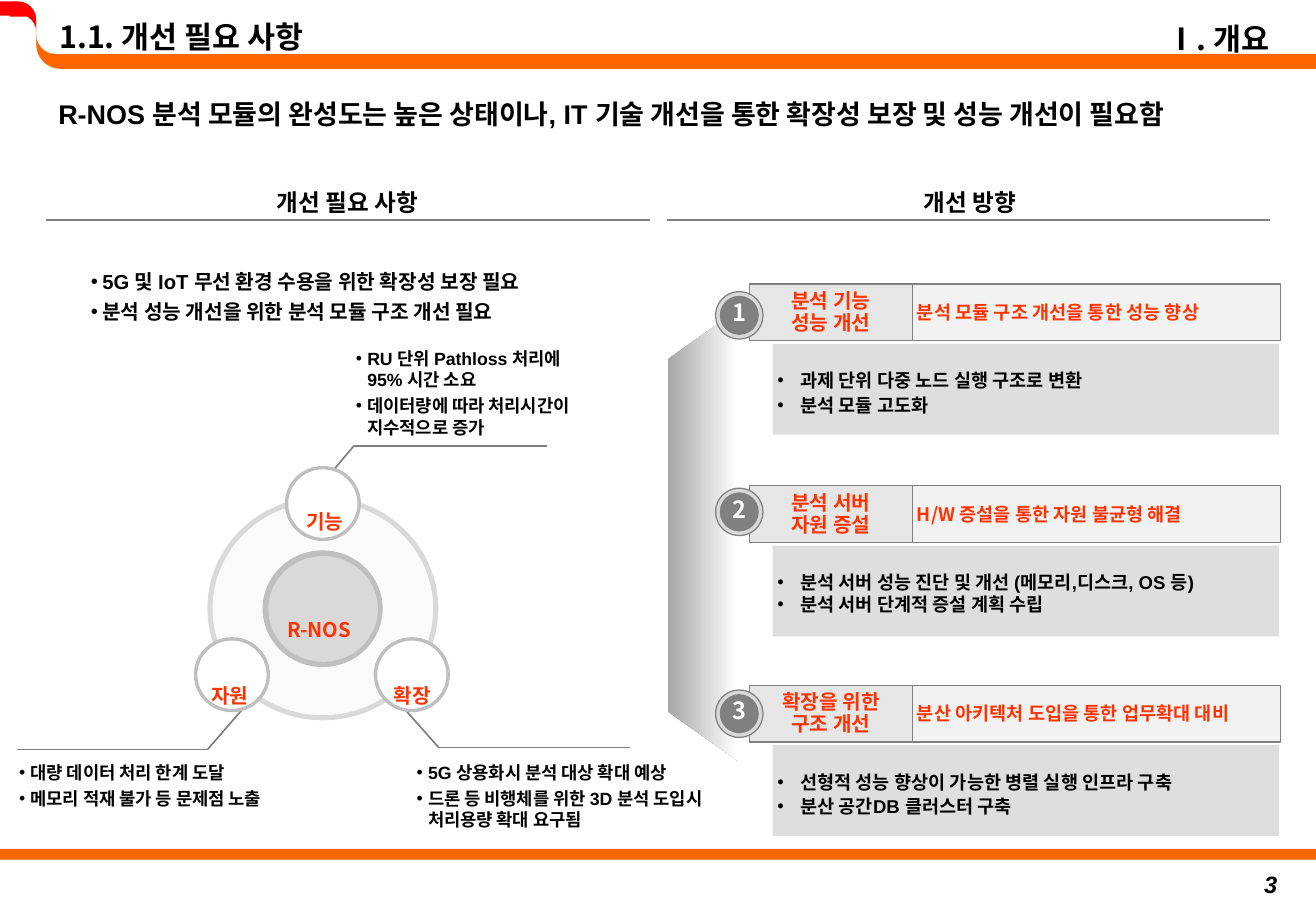
from lxml import etree
from pptx import Presentation
from pptx.dml.color import RGBColor
from pptx.enum import shapes, text
from pptx.oxml import ns
from pptx.util import Cm, Pt

KOREAN = "Noto Sans CJK KR"
LATIN = "Arial"
ORANGE, RED, WHITE, BLACK = "FF6600", "FF0000", "FFFFFF", "000000"
ACCENT, GRAY, SILVER = "FF3300", "808080", "D9D9D9"
FORM = shapes.MSO_SHAPE
LEFT, CENTER, RIGHT = text.PP_ALIGN.LEFT, text.PP_ALIGN.CENTER, text.PP_ALIGN.RIGHT
TOP, MIDDLE, BOTTOM = text.MSO_ANCHOR.TOP, text.MSO_ANCHOR.MIDDLE, text.MSO_ANCHOR.BOTTOM
TEXT_INSETS = (0.25, 0.13, 0.25, 0.13)
CELL_INSETS = (0.1, 0.13, 0.1, 0.13)


def color(hex_code):
    return RGBColor.from_string(hex_code)


def add_tag(parent, tag, **attributes):
    return etree.SubElement(parent, ns.qn(tag), attributes)


class SlideBuilder:
    """Draws styled elements on one slide; every length is in centimetres."""

    def __init__(self, slide):
        self.slide = slide

    def set_text(self, holder, lines, size, hue=BLACK, font=LATIN, align=LEFT, anchor=TOP,
                 insets=TEXT_INSETS, wrap=True, indent=0, after=0, spacing=None, italic=False):
        frame = holder.text_frame
        frame.text = "\n".join(lines)
        frame.word_wrap = wrap
        frame.auto_size = text.MSO_AUTO_SIZE.NONE
        frame.vertical_anchor = anchor
        (frame.margin_left, frame.margin_top,
         frame.margin_right, frame.margin_bottom) = map(Cm, insets)
        for paragraph in frame.paragraphs:
            paragraph.alignment = align
            paragraph.space_after = Pt(after)
            paragraph.line_spacing = spacing
            if indent:
                properties = paragraph._p.get_or_add_pPr()
                properties.set("marL", str(Cm(indent)))
                properties.set("indent", str(Cm(-indent)))
                add_tag(properties, "a:buFont", typeface=LATIN)
                add_tag(properties, "a:buChar", char="•")
            for run in paragraph.runs:
                run.font.size, run.font.bold, run.font.italic = Pt(size), True, italic
                run.font.color.rgb = color(hue)
                run.font.name = font
                add_tag(run._r.get_or_add_rPr(), "a:ea", typeface=KOREAN)

    def title(self, box, line, **style):
        """Fill the title placeholder and bring it in front of the header band."""
        title = self.slide.shapes.title
        title.left, title.top, title.width, title.height = map(Cm, box)
        self.set_text(title, [line], **style)
        title.element.getparent().append(title.element)

    def label(self, box, lines, size, **style):
        self.set_text(self.slide.shapes.add_textbox(*map(Cm, box)), lines, size, **style)

    def shape(self, form, box, fill, line=None, width=0.75, adjust=None, turn=0, alpha=None):
        shape = self.slide.shapes.add_shape(form, *map(Cm, box))
        shape.shadow.inherit = False
        shape.rotation = turn
        if adjust is not None:
            shape.adjustments[0] = adjust
        if isinstance(fill, tuple):
            shape.fill.gradient()
            shape.fill.gradient_angle = 270
            for stop, hue in zip(shape.fill.gradient_stops, fill):
                stop.color.rgb = color(hue)
        else:
            shape.fill.solid()
            shape.fill.fore_color.rgb = color(fill)
        if alpha:
            hue_tag = shape.element.spPr.find(ns.qn("a:solidFill"))[0]
            add_tag(hue_tag, "a:alpha", val=str(alpha * 1000))
        if line:
            shape.line.color.rgb = color(line)
            shape.line.width = Pt(width)
        else:
            shape.line.fill.background()
        return shape

    def line(self, x1, y1, x2, y2):
        connector = self.slide.shapes.add_connector(
            shapes.MSO_CONNECTOR.STRAIGHT, Cm(x1), Cm(y1), Cm(x2), Cm(y2))
        connector.line.color.rgb = color(GRAY)
        connector.line.width = Pt(1)
        add_tag(connector.element.spPr, "a:effectLst")


def draw_frame(page):
    page.shape(FORM.ROUNDED_RECTANGLE, (0, 0.03, 0.76, 1.35), RED, adjust=0.5)
    page.shape(FORM.ROUNDED_RECTANGLE, (0, 0.3, 0.76, 1.19), WHITE, adjust=0.5)
    page.shape(FORM.ROUNDED_RECTANGLE, (0.76, 0.03, 26.16, 1.41), ORANGE, adjust=0.36)
    page.shape(FORM.ROUNDED_RECTANGLE, (0.76, 0, 26.75, 1.13), WHITE, adjust=0.36)
    page.shape(FORM.RECTANGLE, (25.21, 1.13, 2.3, 0.31), ORANGE)
    page.shape(FORM.RECTANGLE, (0, 0.3, 0.48, 0.99), WHITE)
    page.shape(FORM.RECTANGLE, (0, 0.03, 0.36, 0.3), RED)
    page.shape(FORM.RECTANGLE, (0.2, 0.15, 0.36, 0.2), RED)
    page.shape(FORM.RECTANGLE, (0.3, 0.97, 0.48, 0.28), WHITE, turn=349.4)
    page.shape(FORM.RECTANGLE, (0, 17.75, 27.51, 0.23), ORANGE)
    page.label((21.21, 18.06, 5.74, 0.79), ["3"], 14, align=RIGHT, italic=True)
    page.title((0.99, 0.25, 16.1, 1.19), "1.1. 개선 필요 사항", size=18, font=KOREAN)
    page.label((21.06, 0.2, 5.72, 1.19), ["Ⅰ. 개요"], 18, font=KOREAN,
               align=RIGHT, anchor=MIDDLE)
    page.label((0.97, 1.9, 25.88, 1.63),
               ["R-NOS 분석 모듈의 완성도는 높은 상태이나, IT 기술 개선을 통한 확장성 보장 및 성능 개선이 필요함"], 16)
    for heading, text_left, start, end in (("개선 필요 사항", 2.08, 0.97, 13.59),
                                           ("개선 방향", 15.09, 13.94, 26.54)):
        page.label((text_left, 3.84, 10.36, 0.69), [heading], 14, font=KOREAN,
                   align=CENTER, anchor=BOTTOM, insets=(0, 0, 0, 0))
        page.line(start, 4.6, end, 4.6)


def draw_needs(page):
    callouts = (
        ((7.19, 7.14, 6.6, 1.75), (11.43, 7.4, 6.35), (9.32, 10.57),
         ["RU 단위 Pathloss 처리에\v95% 시간 소요", "데이터량에 따라 처리시간이\v지수적으로 증가"]),
        ((0.15, 15.8, 6.22, 1.24), (0.36, 4.34, 5.33), (15.67, 14.53),
         ["대량 데이터 처리 한계 도달", "메모리 적재 불가 등 문제점 노출"]),
        ((8.46, 15.8, 6.6, 1.75), (13.16, 9.17, 8.15), (15.63, 14.48),
         ["5G 상용화시 분석 대상 확대 예상", "드론 등 비행체를 위한 3D 분석 도입시 처리용량 확대 요구됨"]),
    )
    for box, (outer, bend, inner), (level, node_end), lines in callouts:
        page.line(outer, level, bend, level)
        page.line(bend, level, inner, node_end)
        page.label(box, lines, 10.5, indent=0.24, after=3)
    page.label((1.65, 5.51, 11.28, 1.22),
               ["5G 및 IoT 무선 환경 수용을 위한 확장성 보장 필요", "분석 성능 개선을 위한 분석 모듈 구조 개선 필요"],
               12, indent=0.24, after=3)

    page.shape(FORM.OVAL, (4.39, 10.44, 4.72, 4.57), "F2F2F2", SILVER, 3, alpha=35)
    page.shape(FORM.OVAL, (5.49, 11.51, 2.51, 2.44), "BFBFBF")
    page.shape(FORM.OVAL, (5.61, 11.63, 2.29, 2.21), SILVER)
    page.label((5.61, 12.78, 2.13, 0.76), ["R-NOS"], 12, hue=ACCENT, font=KOREAN, align=CENTER)
    for node, left, top, text_left, text_top in (("기능", 5.99, 9.78, 6.15, 10.52),
                                                 ("자원", 4.09, 13.36, 4.17, 14.15),
                                                 ("확장", 7.85, 13.36, 7.98, 14.15)):
        page.shape(FORM.OVAL, (left, top, 1.52, 1.5), WHITE, "BFBFBF", 2)
        page.label((text_left, text_top, 1.37, 0.76), [node], 12, hue=ACCENT, wrap=False)


def draw_directions(page):
    page.shape(FORM.TRAPEZOID, (9.98, 10.46, 9.42, 1.47), ("A6A6A6", WHITE),
               adjust=0.7, turn=270)
    directions = (
        (5.94, 6.1, ["분석 기능", "성능 개선"], "분석 모듈 구조 개선을 통한 성능 향상", 1.1,
         ["과제 단위 다중 노드 실행 구조로 변환", "분석 모듈 고도화"]),
        (10.16, 10.21, ["분석 서버", "자원 증설"], "H/W 증설을 통한 자원 불균형 해결", 1.0,
         ["분석 서버 성능 진단 및 개선 (메모리,디스크, OS 등)", "분석 서버 단계적 증설 계획 수립"]),
        (14.33, 14.43, ["확장을 위한", "구조 개선"], "분산 아키텍처 도입을 통한 업무확대 대비", 1.1,
         ["선형적 성능 향상이 가능한 병렬 실행 인프라 구축", "분산 공간DB 클러스터 구축"]),
    )
    cell = dict(font=KOREAN, anchor=MIDDLE, insets=CELL_INSETS, spacing=Pt(13))
    for number, (top, badge_top, area, goal, spacing, tasks) in enumerate(directions, 1):
        area_cell = page.shape(FORM.RECTANGLE, (15.67, top, 3.4, 1.19), "E6E6E6", GRAY)
        page.set_text(area_cell, area, 12, hue=ACCENT, align=CENTER, **cell)
        goal_cell = page.shape(FORM.RECTANGLE, (19.07, top, 7.7, 1.19), "F2F2F2", GRAY)
        page.set_text(goal_cell, [goal], 11, hue=ACCENT, **cell)
        task_panel = page.shape(FORM.RECTANGLE, (16.15, top + 1.25, 10.59, 1.9), "DEDEDE")
        page.set_text(task_panel, tasks, 11, anchor=MIDDLE, insets=(0.1, 0.2, 0.1, 0.1),
                      indent=0.48, spacing=spacing)
        page.shape(FORM.OVAL, (14.96, badge_top, 0.99, 0.99), SILVER, GRAY)
        badge = page.shape(FORM.OVAL, (15.06, badge_top + 0.1, 0.79, 0.79), GRAY, GRAY)
        page.set_text(badge, [str(number)], 14, hue=WHITE, align=CENTER, **cell)


def main():
    deck = Presentation()
    deck.slide_width, deck.slide_height = Cm(27.51), Cm(19.05)
    page = SlideBuilder(deck.slides.add_slide(deck.slide_layouts[5]))
    draw_frame(page)
    draw_needs(page)
    draw_directions(page)
    deck.save("out.pptx")


if __name__ == "__main__":
    main()
